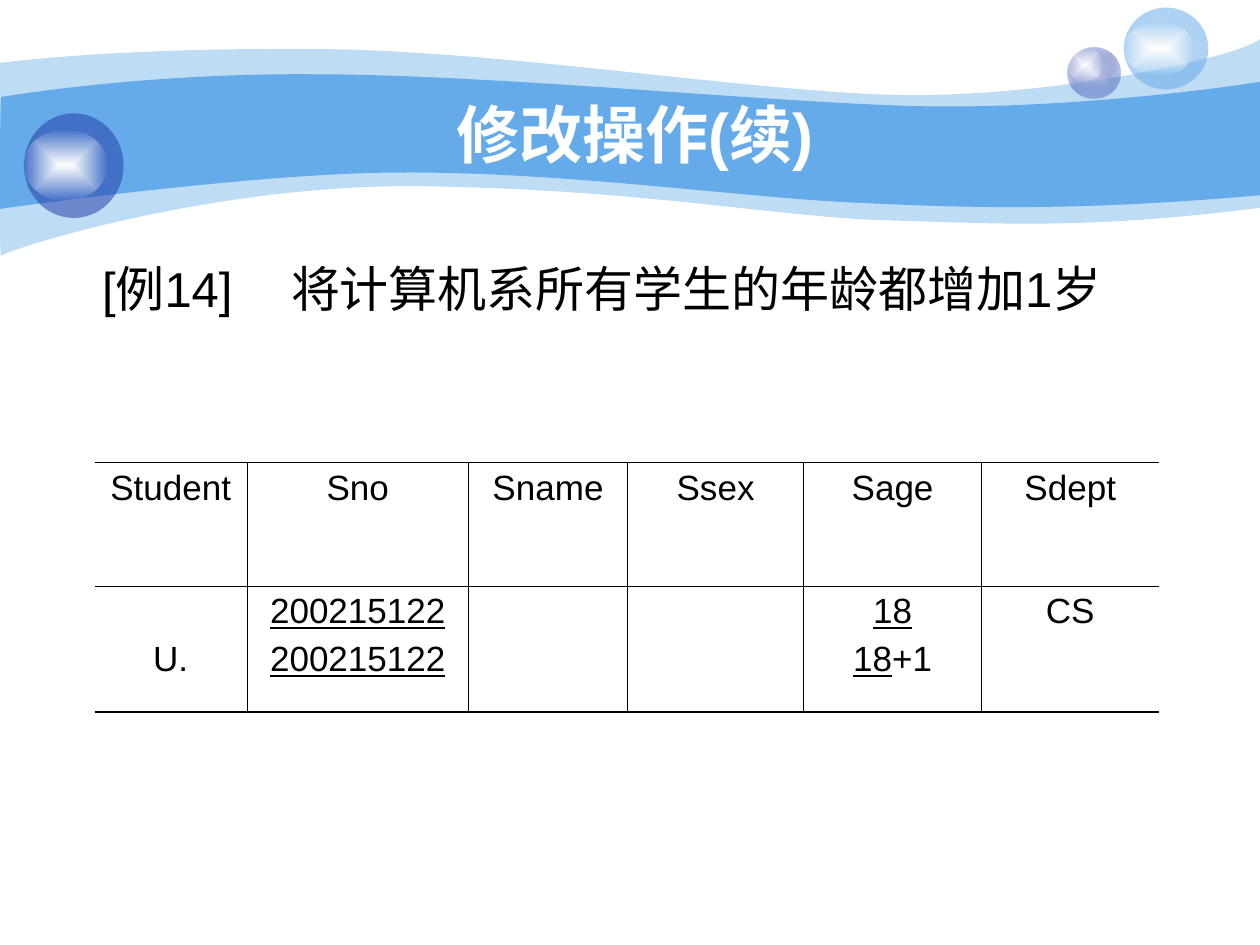
from lxml import etree
from pptx import Presentation
from pptx.dml.color import RGBColor
from pptx.enum.shapes import MSO_SHAPE
from pptx.enum.text import MSO_ANCHOR, MSO_AUTO_SIZE, PP_ALIGN
from pptx.oxml.ns import qn
from pptx.util import Inches, Pt

OVAL = MSO_SHAPE.OVAL
CENTER, JUSTIFY = PP_ALIGN.CENTER, PP_ALIGN.JUSTIFY
TOP, MIDDLE = MSO_ANCHOR.TOP, MSO_ANCHOR.MIDDLE

THEME = {
    "font": "Arial", "title": 36, "body": 28, "cell": 20,
    "white": "FFFFFF", "black": "000000",
    "sky": "65AAE9", "navy": "233DA9", "mist": "C7CEE9",
    "thin": 0.45, "thick": 1.08,
}

TITLE = "修改操作(续)"
EXAMPLE = "[例14]\t将计算机系所有学生的年龄都增加1岁"

HEADERS = ["Student", "Sno", "Sname", "Ssex", "Sage", "Sdept"]
VALUES = [
    [[("U.", False)]],
    [[("200215122", True)], [("200215122", True)]],
    [],
    [],
    [[("18", True)], [("18", True), ("+1", False)]],
    [[("CS", False)]],
]
COL_WIDTHS = [1.21, 1.76, 1.26, 1.4, 1.41, 1.41]
ROW_HEIGHTS = [0.98, 1]
LINE_STEP = 0.38

WAVES = [
    (41, (0, 0.5), [
        (0.24, 0.47, 1.07, 0.38, 2.47, 0.39), (3.86, 0.39, 5.75, 0.7, 6.99, 0.75),
        (8.22, 0.8, 9.8, 0.47, 10, 0.31), (10, 1.65),
        (8.58, 1.83, 7.87, 1.77, 7.05, 1.75), (6.22, 1.73, 5.15, 1.51, 3.43, 1.48),
        (1.72, 1.44, 0.04, 1.99, 0.01, 2.03), (-0.01, 2.08, 0, 0.75, 0, 0.5)]),
    (100, (0.01, 0.77), [
        (0.02, 0.77, 1.1, 0.58, 2.48, 0.59), (3.86, 0.59, 5.95, 0.8, 7.18, 0.84),
        (8.41, 0.88, 9.76, 0.69, 10, 0.65), (10, 1.55),
        (8.53, 1.68, 7.65, 1.65, 6.82, 1.61), (5.99, 1.58, 4.47, 1.36, 3.17, 1.37),
        (2.03, 1.37, -0.02, 1.66, -0.01, 1.66), (0, 1.66, 0, 0.77, 0.01, 0.77)]),
]

GLOW = [("white", 100), ("white", 0)]
BUBBLES = [
    ((8.47, 0.38, 0.42, 0.4), [("mist", 100), ("navy", 31)], (8.47, 0.38, 0.28, 0.27)),
    ((8.92, 0.06, 0.67, 0.65), [("sky", 53)], (8.92, 0.17, 0.56, 0.43)),
    ((0.19, 0.9, 0.79, 0.83), [("navy", 53)], (0.19, 1.03, 0.66, 0.56)),
]


def node(parent, tag, **attrs):
    return etree.SubElement(parent, qn(tag), {k: str(v) for k, v in attrs.items()})


def add_color(parent, name, alpha=100):
    color = node(parent, "a:srgbClr", val=THEME[name])
    if alpha < 100:
        node(color, "a:alpha", val=alpha * 1000)


def paint(shape, stops):
    shape.shadow.inherit = False
    shape.line.fill.background()
    shape.fill.background()
    old = shape._element.spPr.find(qn("a:noFill"))
    if len(stops) == 1:
        fill = etree.Element(qn("a:solidFill"))
        add_color(fill, *stops[0])
    else:
        fill = etree.Element(qn("a:gradFill"), rotWithShape="1")
        gs_list = node(fill, "a:gsLst")
        for i, stop in enumerate(stops):
            add_color(node(gs_list, "a:gs", pos=i * 100000), *stop)
        half = 50000
        node(node(fill, "a:path", path="rect"), "a:fillToRect", l=half, t=half, r=half, b=half)
    old.getparent().replace(old, fill)


def add_wave(shapes, start, segments):
    points = [seg[i:i + 2] for seg in segments for i in range(0, len(seg), 2)]
    builder = shapes.build_freeform(*map(Inches, start))
    builder.add_line_segments([tuple(map(Inches, pt)) for pt in points], close=True)
    shape = builder.convert_to_shape()
    steps = iter(list(shape._element.iter(qn("a:lnTo"))))
    for seg in segments:
        first = next(steps)
        if len(seg) == 6:
            curve = etree.Element(qn("a:cubicBezTo"))
            first.addprevious(curve)
            for step in (first, next(steps), next(steps)):
                curve.append(step[0])
                step.getparent().remove(step)
    return shape


def add_run(p, text, size, color="black", **formats):
    r = p.add_run()
    r.text = text
    r.font.color.rgb = RGBColor.from_string(THEME[color])
    for key, value in {"name": THEME["font"], "size": Pt(THEME[size]), **formats}.items():
        setattr(r.font, key, value)


def place(shape, box, **formats):
    for key, value in zip(("left", "top", "width", "height"), box):
        setattr(shape, key, Inches(value))
    tf = shape.text_frame
    for key, value in {"word_wrap": True, "auto_size": MSO_AUTO_SIZE.NONE, **formats}.items():
        setattr(tf, key, value)
    shape._element.getparent().append(shape._element)
    return tf.paragraphs[0]


def set_borders(cell, widths):
    tcPr = cell._tc.get_or_add_tcPr()
    for i, (side, width) in enumerate(zip("LRTB", widths)):
        ln = etree.Element(qn("a:ln" + side), w=str(Pt(width)))
        if width:
            add_color(node(ln, "a:solidFill"), "black")
        else:
            node(ln, "a:noFill")
        tcPr.insert(i, ln)


def fill_cell(cell, lines):
    cell.fill.background()
    cell.vertical_anchor = TOP
    tf = cell.text_frame
    for i, line in enumerate(lines):
        p = tf.add_paragraph() if i else tf.paragraphs[0]
        p.alignment = CENTER
        if i:
            p.space_before = Pt(5)
        for text, underline in line:
            add_run(p, text, "cell", underline=underline)


prs = Presentation()
prs.slide_width, prs.slide_height = Inches(10), Inches(7.5)
s = prs.slides.add_slide(prs.slide_layouts[1])

for alpha, start, segments in WAVES:
    paint(add_wave(s.shapes, start, segments), [("sky", alpha)])

for ball, stops, shine in BUBBLES:
    group = s.shapes.add_group_shape()
    for box, colors in ((ball, stops), (shine, GLOW)):
        paint(group.shapes.add_shape(OVAL, *map(Inches, box)), colors)

p = place(s.shapes.title, (1, 0.75, 8.08, 0.62), vertical_anchor=MIDDLE)
p.alignment = CENTER
add_run(p, TITLE, "title", "white", bold=True)

p = place(s.placeholders[1], (0.5, 2, 8.75, 1.44), vertical_anchor=TOP, margin_left=Inches(0.31))
p.alignment = JUSTIFY
p.space_before = Pt(0)
pPr = p._p.get_or_add_pPr()
pPr.set("marL", "0")
pPr.set("indent", "0")
node(pPr, "a:buNone")
node(node(pPr, "a:tabLst"), "a:tab", pos=Inches(1.55), algn="l")
add_run(p, EXAMPLE, "body")

rows = [[[[(h, False)]] for h in HEADERS], VALUES]
frame = s.shapes.add_table(len(rows), len(HEADERS), Inches(0.75), Inches(3.67),
                           Inches(sum(COL_WIDTHS)), Inches(sum(ROW_HEIGHTS)))
table = frame.table
table.first_row = table.horz_banding = False
for column, width in zip(table.columns, COL_WIDTHS):
    column.width = Inches(width)
for row, height in zip(table.rows, ROW_HEIGHTS):
    row.height = Inches(height)

thin, thick = THEME["thin"], THEME["thick"]
last_row, last_col = len(rows) - 1, len(HEADERS) - 1
for i, row in enumerate(rows):
    for j, lines in enumerate(row):
        cell = table.cell(i, j)
        fill_cell(cell, lines)
        set_borders(cell, (thin if j else 0, thin if j < last_col else 0,
                           thin if i else thick, thin if i < last_row else thick))
table.cell(1, 0).margin_top = Inches(0.05 + LINE_STEP)

prs.save("out.pptx")
